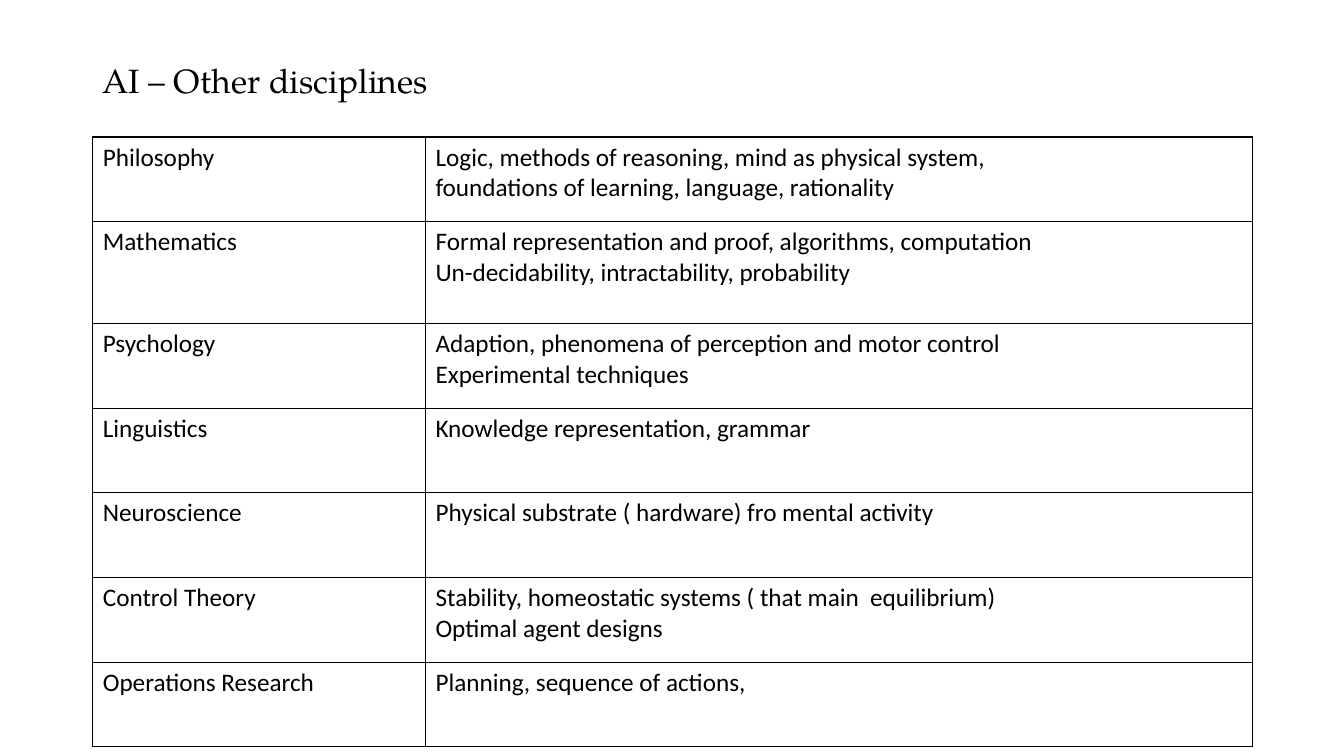
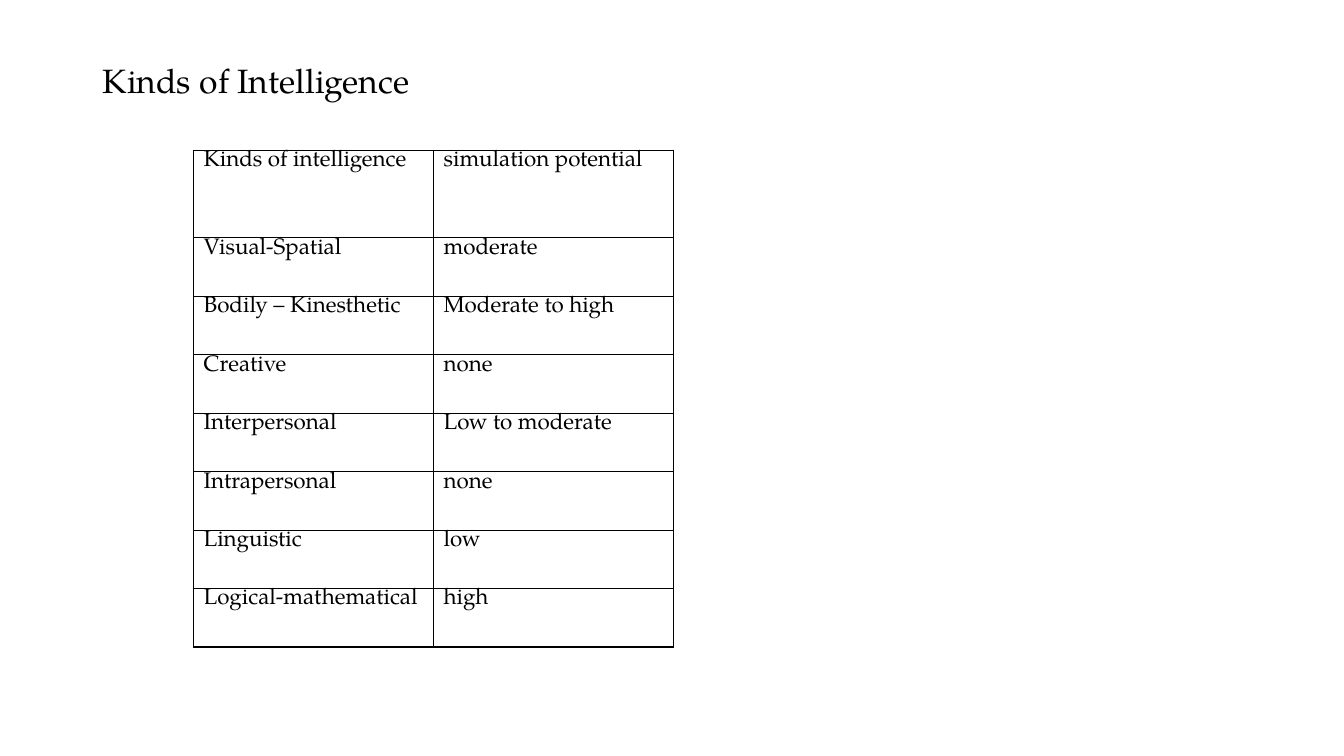
from dataclasses import dataclass

from lxml import etree
from pptx import Presentation
from pptx.dml.color import RGBColor
from pptx.enum.text import MSO_ANCHOR, PP_ALIGN
from pptx.oxml.ns import qn
from pptx.util import Inches, Pt


@dataclass(frozen=True)
class Theme:
    ink: str = "000000"
    title_font: str = "TeX Gyre Pagella"
    body_font: str = "Calibri"
    title_size: int = 24
    large_size: int = 18
    small_size: int = 16
    border_width: int = 1


THEME = Theme()

DISCIPLINES = [
    ("Philosophy", "Logic, methods of reasoning, mind as physical system,\n"
                   "foundations of learning, language, rationality"),
    ("Mathematics", "Formal representation and proof, algorithms, computation\n"
                    "Un-decidability, intractability, probability"),
    ("Psychology", "Adaption, phenomena of perception and motor control\n"
                   "Experimental techniques"),
    ("Linguistics", "Knowledge representation, grammar"),
    ("Neuroscience", "Physical substrate ( hardware) fro mental activity"),
    ("Control Theory", "Stability, homeostatic systems ( that main  equilibrium)\n"
                       "Optimal agent designs"),
    ("Operations Research", "Planning, sequence of actions,"),
]

INTELLIGENCE = [
    ("Kinds of intelligence", "simulation potential"),
    ("Visual-Spatial", "moderate"),
    ("Bodily – Kinesthetic", "Moderate to high"),
    ("Creative", "none"),
    ("Interpersonal", "Low to moderate"),
    ("Intrapersonal", "none"),
    ("Linguistic", "low"),
    ("Logical-mathematical", "high"),
]


def style_paragraph(p, font, size):
    p.alignment = PP_ALIGN.LEFT
    p.font.name = font
    p.font.size = Pt(size)
    p.font.color.rgb = RGBColor.from_string(THEME.ink)


def add_titled_slide(prs, title):
    s = prs.slides.add_slide(prs.slide_layouts[5])
    sp = s.shapes.title
    sp.left, sp.top = Inches(0.92), Inches(0.4)
    sp.width, sp.height = Inches(11.5), Inches(0.83)
    tf = sp.text_frame
    tf.text = title
    tf.word_wrap = True
    tf.vertical_anchor = MSO_ANCHOR.MIDDLE
    p = tf.paragraphs[0]
    p.line_spacing = 0.9
    style_paragraph(p, THEME.title_font, THEME.title_size)
    return s


def set_borders(cell):
    """Line all four sides; the lines must come before the cell's fill."""
    tc_pr = cell._tc.get_or_add_tcPr()
    for i, side in enumerate(("a:lnL", "a:lnR", "a:lnT", "a:lnB")):
        ln = etree.Element(qn(side), w=str(Pt(THEME.border_width)))
        fill = etree.SubElement(ln, qn("a:solidFill"))
        etree.SubElement(fill, qn("a:srgbClr"), val=THEME.ink)
        tc_pr.insert(i, ln)


def add_grid(s, left, top, widths, heights, rows, font, size, pad):
    """Add a plain ruled table; pad is the margin above and below the text."""
    frame = s.shapes.add_table(len(rows), len(widths), Inches(left), Inches(top),
                               Inches(sum(widths)), Inches(sum(heights)))
    table = frame.table
    table.first_row = table.horz_banding = False
    for column, width in zip(table.columns, widths):
        column.width = Inches(width)
    for row, height, texts in zip(table.rows, heights, rows):
        row.height = Inches(height)
        for cell, text in zip(row.cells, texts):
            cell.text = text
            cell.margin_top = cell.margin_bottom = Inches(pad)
            cell.fill.background()
            set_borders(cell)
            for p in cell.text_frame.paragraphs:
                style_paragraph(p, font, size)


def main():
    prs = Presentation()
    prs.slide_width, prs.slide_height = Inches(13.33), Inches(7.5)

    # Related disciplines
    s = add_titled_slide(prs, "AI – Other disciplines")
    add_grid(s, 0.92, 1.36, [3.3, 8.2], [0.84, 1.01] + [0.84] * 5,
             DISCIPLINES, THEME.body_font, THEME.large_size, pad=0.05)

    # Kinds of intelligence
    s = add_titled_slide(prs, "Kinds of Intelligence")
    add_grid(s, 1.92, 1.49, [2.38] * 2, [0.87] + [0.58] * 7,
             INTELLIGENCE, THEME.title_font, THEME.small_size, pad=0)

    prs.save("out.pptx")


if __name__ == "__main__":
    main()
